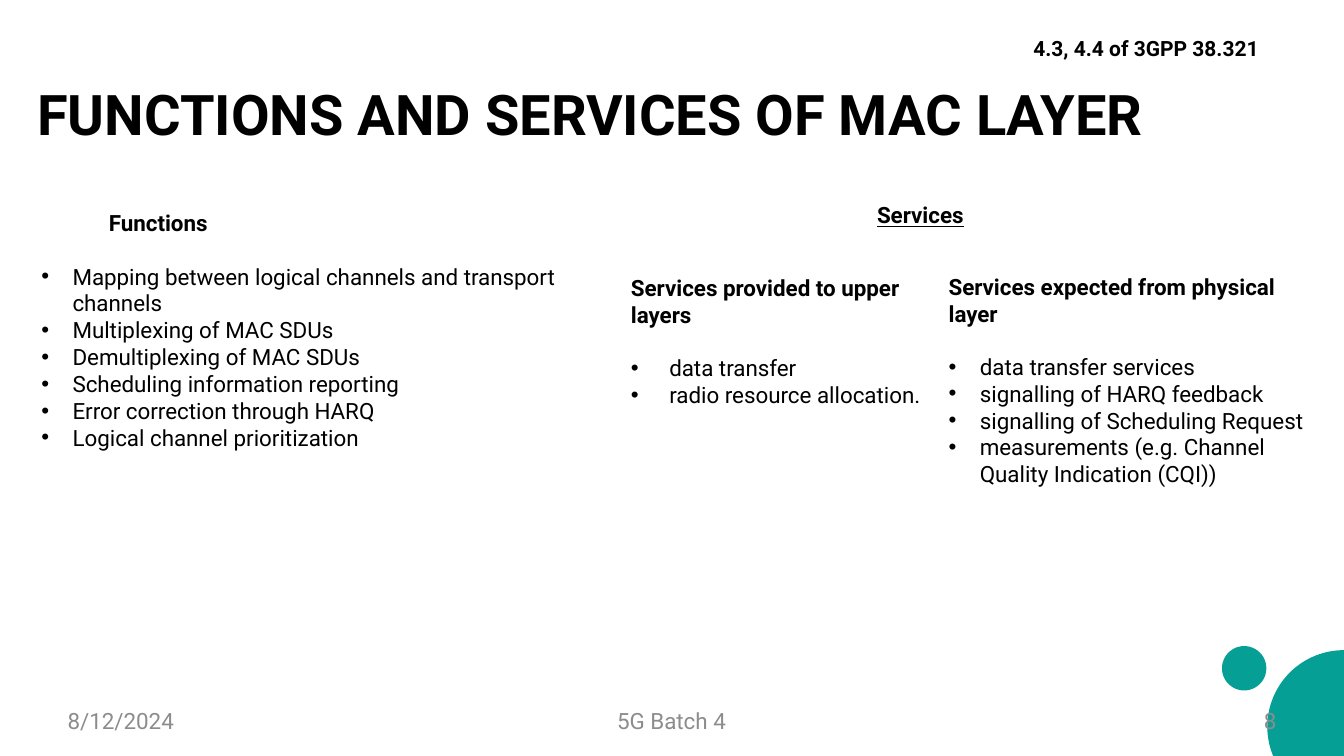
"""Build the slide on the functions and services of the MAC layer."""
from dataclasses import dataclass
from math import asin, cos, pi, sin

from lxml.etree import SubElement
from pptx import Presentation
from pptx.dml.color import RGBColor
from pptx.enum.shapes import MSO_SHAPE
from pptx.enum.text import MSO_ANCHOR, PP_ALIGN
from pptx.oxml.ns import qn
from pptx.util import Inches, Pt


@dataclass(frozen=True)
class Theme:
    font: str = "Roboto"
    ink: RGBColor = RGBColor(0x00, 0x00, 0x00)
    muted: RGBColor = RGBColor(0x8C, 0x8C, 0x8C)
    accent: RGBColor = RGBColor(0x06, 0x9F, 0x96)
    title_size: int = 40
    body_size: int = 16
    reference_size: int = 15
    list_gap: float = 18.75


THEME = Theme()
WIDTH, HEIGHT = 13.33, 7.5

FUNCTIONS = [
    "Mapping between logical channels and transport channels",
    "Multiplexing of MAC SDUs",
    "Demultiplexing of MAC SDUs",
    "Scheduling information reporting",
    "Error correction through HARQ",
    "Logical channel prioritization",
]
PROVIDED = ["data transfer", "radio resource allocation."]
EXPECTED = [
    "data transfer services",
    "signalling of HARQ feedback",
    "signalling of Scheduling Request",
    "measurements (e.g. Channel Quality Indication (CQI))",
]


def style_para(para, size=THEME.body_size, color=THEME.ink, bold=False):
    """Apply the theme font to every run of a paragraph."""
    for span in para.runs:
        span.font.name = THEME.font
        span.font.size = Pt(size)
        span.font.color.rgb = color
        span.font.bold = bold


def indent_para(para, left, first=0.0, bullet=None):
    """Set the margin and first-line indent, with an optional bullet."""
    properties = para._p.get_or_add_pPr()
    properties.set("marL", str(Inches(left)))
    properties.set("indent", str(Inches(first)))
    if bullet:
        SubElement(properties, qn("a:buFont")).set("typeface", "Arial")
        SubElement(properties, qn("a:buChar")).set("char", bullet)


def add_text(page, text, left, top, width, height, flush=False,
             anchor=MSO_ANCHOR.TOP, align=PP_ALIGN.LEFT, **style):
    """Add a one-paragraph text box and return its text frame."""
    box = page.shapes.add_textbox(
        Inches(left), Inches(top), Inches(width), Inches(height))
    frame = box.text_frame
    frame.word_wrap = True
    frame.vertical_anchor = anchor
    if flush:
        frame.margin_left = frame.margin_right = 0
        frame.margin_top = frame.margin_bottom = Inches(0.07)
    frame.text = text
    para = frame.paragraphs[0]
    para.alignment = align
    style_para(para, **style)
    return frame


def add_list(page, heading, items, left, top, width, height,
             hang=0.31, heading_indent=0.0, flush=False):
    """Add a bold heading followed by bulleted items."""
    frame = add_text(page, heading, left, top, width, height, flush, bold=True)
    indent_para(frame.paragraphs[0], heading_indent)
    for index, item in enumerate(items):
        para = frame.add_paragraph()
        para.text = item
        if index == 0:
            para.space_before = Pt(THEME.list_gap)
        indent_para(para, hang, -hang, "•")
        style_para(para)


def paint(shape):
    """Fill a decoration with the accent colour, without line or shadow."""
    shape.shadow.inherit = False
    shape.fill.solid()
    shape.fill.fore_color.rgb = THEME.accent
    shape.line.fill.background()


def add_corner(page, center_y=7.21, radius=0.76, steps=48):
    """Add the large circle cut off by the bottom right corner."""
    start, end = pi / 2, pi + asin((HEIGHT - center_y) / radius)
    angles = [start + (end - start) * step / steps for step in range(steps + 1)]
    arc = [(Inches(WIDTH + radius * cos(angle)),
            Inches(center_y - radius * sin(angle))) for angle in angles]
    builder = page.shapes.build_freeform(*arc[0], scale=1.0)
    builder.add_line_segments(arc[1:] + [(Inches(WIDTH), Inches(HEIGHT))])
    paint(builder.convert_to_shape())


def add_dot(page, left, top, size):
    """Add the small circle beside the corner."""
    paint(page.shapes.add_shape(
        MSO_SHAPE.OVAL, Inches(left), Inches(top), Inches(size), Inches(size)))


def add_footer(page, text, left, width, align):
    """Add one part of the footer line."""
    add_text(page, text, left, 6.95, width, 0.4, flush=True,
             anchor=MSO_ANCHOR.MIDDLE, align=align, color=THEME.muted)


def main():
    """Compose the slide and save it."""
    deck = Presentation()
    deck.slide_width, deck.slide_height = Inches(WIDTH), Inches(HEIGHT)
    page = deck.slides.add_slide(deck.slide_layouts[6])

    title = add_text(page, "FUNCTIONS AND SERVICES OF MAC LAYER",
                     0.37, 0.67, 11.59, 0.86, flush=True,
                     anchor=MSO_ANCHOR.BOTTOM, size=THEME.title_size, bold=True)
    title.paragraphs[0].line_spacing = 0.9
    add_list(page, "Functions", FUNCTIONS, 0.41, 2.01, 5.84, 5.14,
             heading_indent=0.67, flush=True)
    add_corner(page)
    add_dot(page, 12.12, 6.41, 0.44)

    services = add_text(page, "Services", 8.6, 1.95, 1.18, 0.37, bold=True)
    services.paragraphs[0].runs[0].font.underline = True
    add_list(page, "Services provided to upper layers", PROVIDED,
             6.16, 2.67, 3.2, 1.45, hang=0.38)
    add_list(page, "Services expected from physical layer", EXPECTED,
             9.31, 2.66, 3.78, 2.26)
    add_text(page, "4.3, 4.4 of 3GPP 38.321", 10.15, 0.3, 2.93, 0.76,
             size=THEME.reference_size, bold=True)

    add_footer(page, "8/12/2024", 0.67, 3.11, PP_ALIGN.LEFT)
    add_footer(page, "5G Batch 4", 4.55, 4.22, PP_ALIGN.CENTER)
    add_footer(page, "8", 9.55, 3.11, PP_ALIGN.RIGHT)
    deck.save("out.pptx")


if __name__ == "__main__":
    main()
